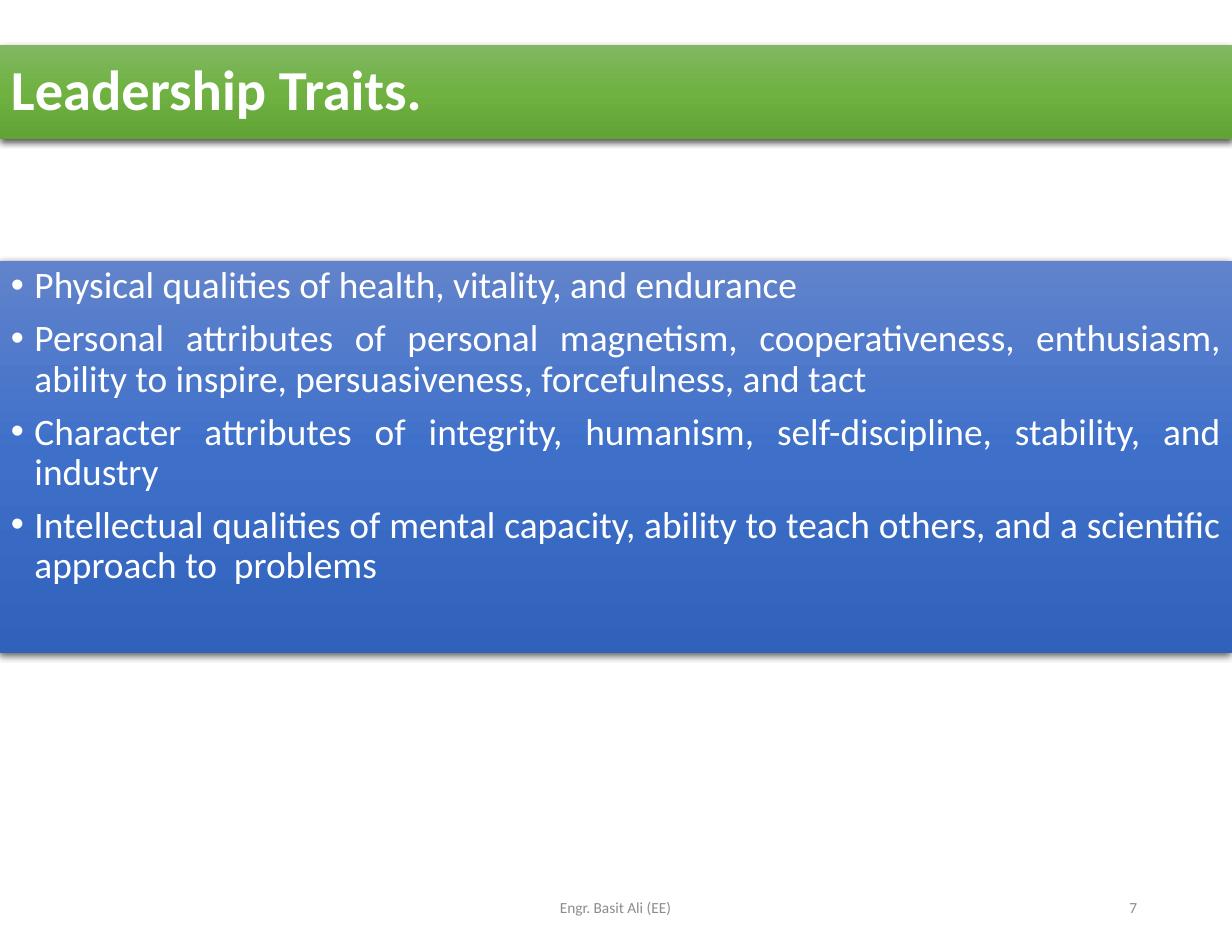
from dataclasses import dataclass

from lxml import etree
from pptx import Presentation
from pptx.dml.color import RGBColor
from pptx.enum.shapes import MSO_SHAPE
from pptx.enum.text import MSO_ANCHOR, PP_ALIGN
from pptx.oxml import parse_xml
from pptx.oxml.ns import nsdecls, qn
from pptx.util import Inches, Pt

RECTANGLE = MSO_SHAPE.RECTANGLE
TOP, MIDDLE = MSO_ANCHOR.TOP, MSO_ANCHOR.MIDDLE
LEFT, CENTER = PP_ALIGN.LEFT, PP_ALIGN.CENTER
RIGHT, JUSTIFY = PP_ALIGN.RIGHT, PP_ALIGN.JUSTIFY

TRAITS = [
    "Physical qualities of health, vitality, and endurance",
    "Personal attributes of personal magnetism, cooperativeness, enthusiasm, "
    "ability to inspire, persuasiveness, forcefulness, and tact",
    "Character attributes of integrity, humanism, self-discipline, stability, and industry",
    "Intellectual qualities of mental capacity, ability to teach others, "
    "and a scientific approach to  problems",
]


@dataclass(frozen=True)
class Theme:
    font: str = "Calibri"
    light: str = "FFFFFF"
    muted: str = "8C8C8C"
    green: tuple = ("81B861", "6FB242", "62A336")
    blue: tuple = ("6183CB", "3E70CA", "3062BB")
    shadow: str = "000000"
    title_size: float = 36.3
    body_size: float = 24
    footer_size: float = 9.9


class LeadershipSlide:
    """Holds the theme and the current page, and adds its bands and footers."""

    def __init__(self, page, theme):
        self.page = page
        self.theme = theme

    def set_text(self, box, lines, size, color, align, anchor, bold=False):
        frame = box.text_frame
        frame.word_wrap = True
        frame.vertical_anchor = anchor
        frame.text = "\n".join(lines)
        for para in frame.paragraphs:
            para.alignment = align
            for span in para.runs:
                span.font.name = self.theme.font
                span.font.size = Pt(size)
                span.font.bold = bold
                span.font.color.rgb = RGBColor.from_string(color)

    def band(self, top, height, colors):
        shape = self.page.shapes.add_shape(
            RECTANGLE, 0, Inches(top), Inches(11), Inches(height))
        properties = shape._element.spPr
        stops = "".join(
            f'<a:gs pos="{index * 50000}"><a:srgbClr val="{color}"/></a:gs>'
            for index, color in enumerate(colors))
        properties.append(parse_xml(
            f'<a:gradFill {nsdecls("a")} rotWithShape="1"><a:gsLst>{stops}</a:gsLst>'
            '<a:lin ang="5400000" scaled="0"/></a:gradFill>'))
        shape.line.fill.background()
        properties.append(parse_xml(
            f'<a:effectLst {nsdecls("a")}><a:outerShdw blurRad="{Pt(4.5)}" '
            f'dist="{Pt(1.5)}" dir="5400000" algn="ctr" rotWithShape="0">'
            f'<a:srgbClr val="{self.theme.shadow}"><a:alpha val="63000"/></a:srgbClr>'
            '</a:outerShdw></a:effectLst>'))
        return shape

    def title(self, text):
        box = self.band(0.4, 0.84, self.theme.green)
        self.set_text(box, [text], self.theme.title_size, self.theme.light, LEFT, MIDDLE, True)
        box.text_frame.paragraphs[0].line_spacing = 0.9

    def bullets(self, lines):
        box = self.band(2.33, 3.5, self.theme.blue)
        self.set_text(box, lines, self.theme.body_size, self.theme.light, JUSTIFY, TOP)
        for index, para in enumerate(box.text_frame.paragraphs):
            para.line_spacing = 0.9
            para.space_before = Pt(8.2 if index else 0)
            settings = para._p.get_or_add_pPr()
            settings.set("marL", str(Inches(0.21)))
            settings.set("indent", str(Inches(-0.21)))
            etree.SubElement(settings, qn("a:buFont"), typeface="Arial")
            etree.SubElement(settings, qn("a:buChar"), char="•")

    def footer(self, text, left, width, align):
        box = self.page.shapes.add_textbox(
            Inches(left), Inches(7.88), Inches(width), Inches(0.45))
        self.set_text(box, [text], self.theme.footer_size, self.theme.muted, align, MIDDLE)


def main():
    deck = Presentation()
    deck.slide_width = Inches(11)
    deck.slide_height = Inches(8.5)
    slide = LeadershipSlide(deck.slides.add_slide(deck.slide_layouts[6]), Theme())
    slide.title("Leadership Traits.")
    slide.bullets(TRAITS)
    slide.footer("7", 7.77, 2.48, RIGHT)
    slide.footer("Engr. Basit Ali (EE)", 3.64, 3.71, CENTER)
    deck.save("out.pptx")


if __name__ == "__main__":
    main()
